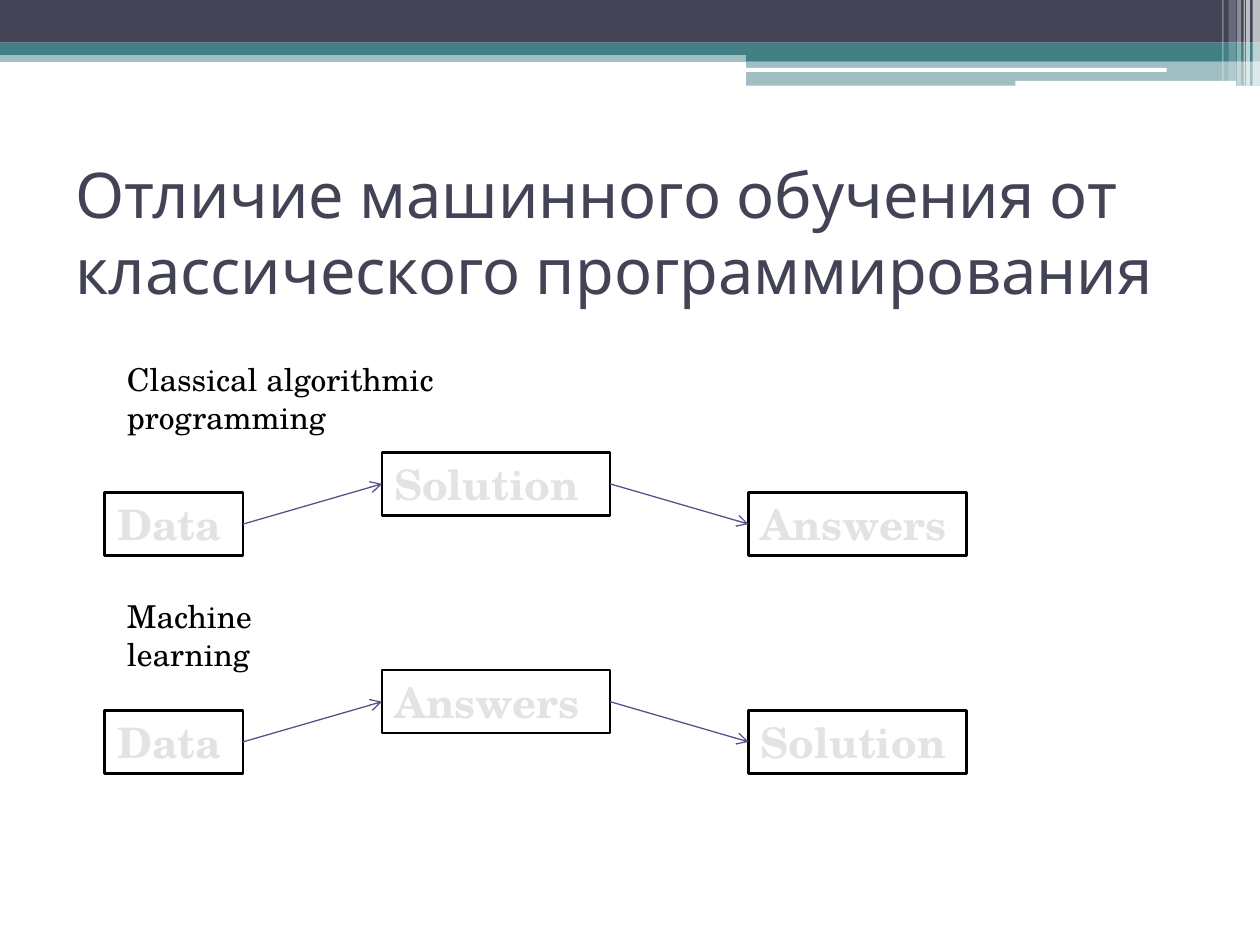
from lxml import etree
from pptx import Presentation
from pptx.dml.color import RGBColor
from pptx.enum.shapes import MSO_CONNECTOR, MSO_SHAPE
from pptx.enum.text import MSO_ANCHOR, MSO_AUTO_SIZE, PP_ALIGN
from pptx.oxml.ns import qn
from pptx.util import Cm, Pt

RECT, ROUND = MSO_SHAPE.RECTANGLE, MSO_SHAPE.ROUNDED_RECTANGLE
STRAIGHT = MSO_CONNECTOR.STRAIGHT
LEFT, TOP, MIDDLE = PP_ALIGN.LEFT, MSO_ANCHOR.TOP, MSO_ANCHOR.MIDDLE
NO_FIT, GROW = MSO_AUTO_SIZE.NONE, MSO_AUTO_SIZE.SHAPE_TO_FIT_TEXT
RIGHT_SITE, LEFT_SITE = 3, 1

# Content
TITLE = "Отличие машинного обучения от классического программирования"
FLOWS = [  # label, label top, label width, steps, top of the outer boxes
    ("Classical algorithmic programming", 7.14, 10.46,
     ("Data", "Solution", "Answers"), 9.93),
    ("Machine learning", 11.91, 5.49,
     ("Data", "Answers", "Solution"), 14.32),
]
STEP_COLUMNS = [(2.11, 2.79, 0), (7.7, 4.6, -0.81), (15.09, 4.39, 0)]  # left, width, rise
STEP_HEIGHT = 1.27

# Header: shape, left, top, width, height, colour, opacity in percent
NAVY, TEAL, WHITE, BLACK = "424456", "438086", "FFFFFF", "000000"
BANDS = [
    (RECT, 0, 1.02, 25.4, 0.23, TEAL, 50),
    (RECT, 0, 0, 25.4, 0.86, NAVY, 100),
    (RECT, 0, 0.86, 25.4, 0.25, TEAL, 100),
    (RECT, 15.04, 0.99, 10.36, 0.24, TEAL, 100),
    (RECT, 15.04, 1.23, 10.36, 0.5, TEAL, 50),
    (ROUND, 15.01, 1.37, 8.51, 0.08, WHITE, 100),
    (ROUND, 20.47, 1.63, 4.45, 0.1, WHITE, 100),
]
STRIPES = [  # left, width, height, opacity
    (25.25, 0.15, 1.73, 65), (25.12, 0.08, 1.73, 65), (25.07, 0.03, 1.73, 60),
    (24.94, 0.08, 1.73, 40), (24.77, 0.15, 1.63, 20), (24.64, 0.03, 1.63, 30),
]
BANDS += [(RECT, x, 0, w, h, WHITE, a) for x, w, h, a in STRIPES]


def rgb(value):
    return RGBColor.from_string(value)


def write(sp, text, size, font, color, bold=False, outline=None,
          anchor=TOP, fit=GROW):
    tf = sp.text_frame
    tf.word_wrap = True
    tf.auto_size = fit
    tf.vertical_anchor = anchor
    p = tf.paragraphs[0]
    p.alignment = LEFT
    r = p.add_run()
    r.text = text
    r.font.size, r.font.name, r.font.bold = Pt(size), font, bold
    r.font.color.rgb = rgb(color)
    if outline:
        ln = etree.Element(qn("a:ln"), w=str(Pt(1)))
        fill = etree.SubElement(ln, qn("a:solidFill"))
        etree.SubElement(fill, qn("a:srgbClr"), val=outline)
        r.font._element.insert(0, ln)


def add_block(kind, x, y, w, h, color, opacity=100, border=None):
    sp = s.shapes.add_shape(kind, Cm(x), Cm(y), Cm(w), Cm(h))
    sp.shadow.inherit = False
    sp.fill.solid()
    sp.fill.fore_color.rgb = rgb(color)
    if opacity < 100:
        clr = sp.fill._xPr.find(".//" + qn("a:srgbClr"))
        etree.SubElement(clr, qn("a:alpha"), val=str(opacity * 1000))
    if border:
        sp.line.color.rgb = rgb(border)
        sp.line.width = Pt(1.5)
    else:
        sp.line.fill.background()
    return sp


def add_arrow(start, end):
    c = s.shapes.add_connector(STRAIGHT, 0, 0, 0, 0)
    c.begin_connect(start, RIGHT_SITE)
    c.end_connect(end, LEFT_SITE)
    c.line.color.rgb = rgb("53548A")
    c.line.width = Pt(0.75)
    etree.SubElement(c.line._get_or_add_ln(), qn("a:tailEnd"), type="arrow")
    etree.SubElement(c._element.spPr, qn("a:effectLst"))


prs = Presentation()
prs.slide_width, prs.slide_height = Cm(25.4), Cm(19.05)
s = prs.slides.add_slide(prs.slide_layouts[5])

# Header bands
for kind, x, y, w, h, color, opacity in BANDS:
    sp = add_block(kind, x, y, w, h, color, opacity)

# Title
title = s.shapes.title
title.left, title.top, title.width, title.height = Cm(1.27), Cm(3.18), Cm(22.86), Cm(2.97)
write(title, TITLE, 36, "Karla", NAVY, anchor=MIDDLE, fit=NO_FIT)

# Flows: a label, three steps and the arrows between them
for label, label_top, label_width, steps, top in FLOWS:
    boxes = []
    for step, (x, w, rise) in zip(steps, STEP_COLUMNS):
        sp = add_block(RECT, x, top + rise, w, STEP_HEIGHT, WHITE, border=BLACK)
        write(sp, step, 24, "TeX Gyre Schola", "E3E3E3", bold=True, outline="3D405C")
        boxes.append(sp)
    for start, end in zip(boxes, boxes[1:]):
        add_arrow(start, end)
    tb = s.shapes.add_textbox(Cm(2.31), Cm(label_top), Cm(label_width), Cm(1.02))
    write(tb, label, 18, "TeX Gyre Schola", BLACK)

prs.save("out.pptx")
